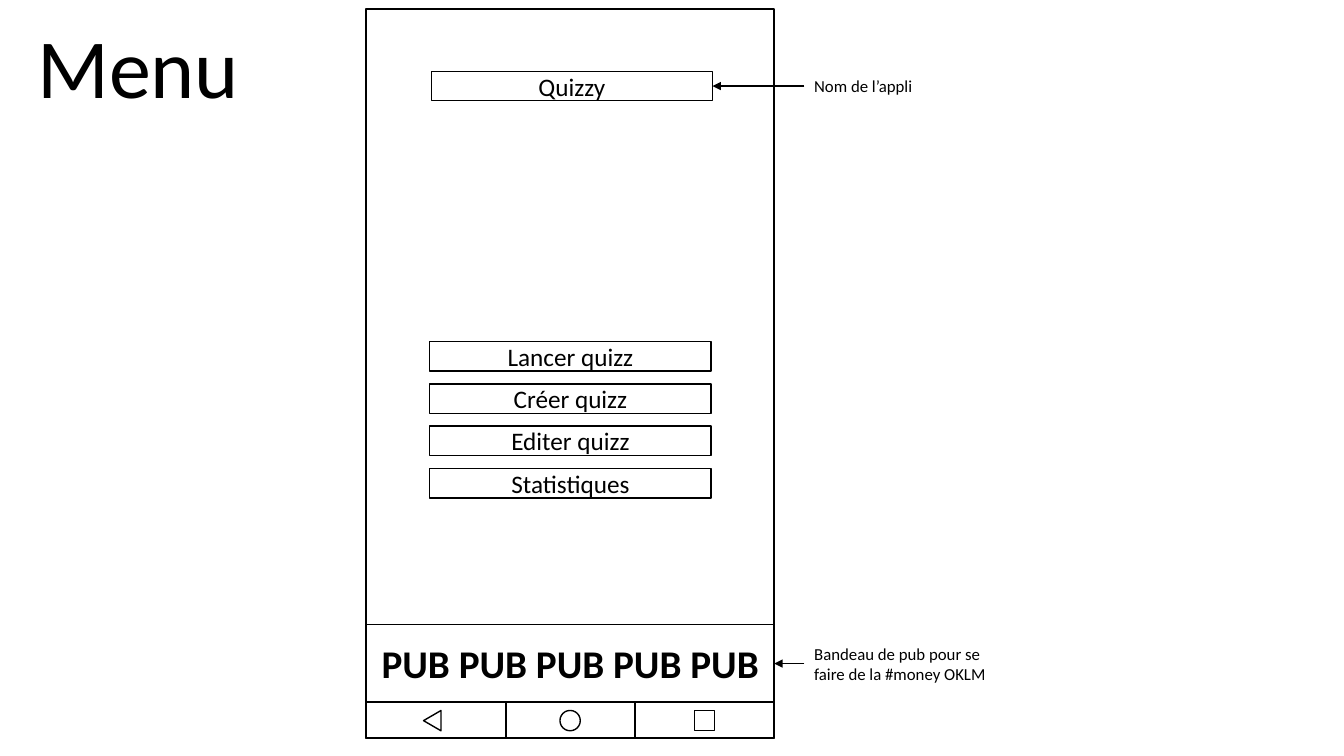
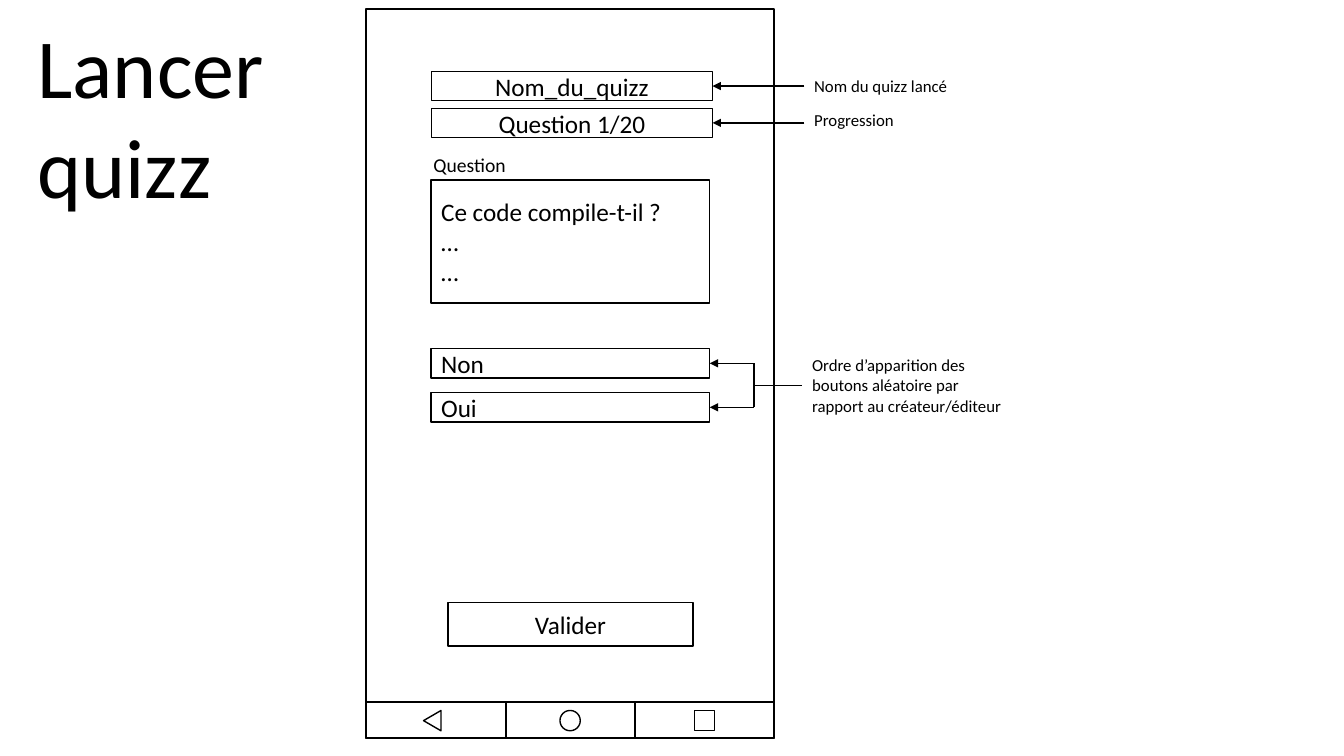
"""Build two wireframe slides of a quiz application."""
from lxml import etree
from pptx import Presentation
from pptx import util as u
from pptx.dml import color
from pptx.enum import shapes, text
from pptx.oxml import ns


def paint(value):
    return color.RGBColor.from_string(value)


class Wireframe:
    FONT = "Calibri"
    INK = "000000"
    PAPER = "FFFFFF"
    PHONE_LEFT, PHONE_TOP, PHONE_WIDTH, PHONE_HEIGHT = 261.5, 6.5, 291.5, 520.5
    PHONE_RIGHT = PHONE_LEFT + PHONE_WIDTH
    NAV_TOP, NAV_HEIGHT = 501.5, 26
    FIELD_LEFT, FIELD_HEIGHT = 308, 21
    NOTE_LEFT = 574.5

    def __init__(self):
        self.deck = Presentation()
        self.deck.slide_width = u.Pt(960)
        self.deck.slide_height = u.Pt(540)
        self.slide = None

    def set_text(self, box, words, size, align=text.PP_ALIGN.LEFT,
                 anchor=text.MSO_ANCHOR.TOP, bold=False):
        frame = box.text_frame
        frame.text = words
        frame.word_wrap = True
        frame.auto_size = text.MSO_AUTO_SIZE.NONE
        frame.vertical_anchor = anchor
        for para in frame.paragraphs:
            para.alignment = align
            for span in para.runs:
                span.font.name = self.FONT
                span.font.size = u.Pt(size)
                span.font.bold = bold
                span.font.color.rgb = paint(self.INK)

    def outline(self, left, top, width, height,
                kind=shapes.MSO_SHAPE.RECTANGLE, fill=None):
        box = self.slide.shapes.add_shape(
            kind, u.Pt(left), u.Pt(top), u.Pt(width), u.Pt(height))
        box.shadow.inherit = False
        if fill:
            box.fill.solid()
            box.fill.fore_color.rgb = paint(fill)
        else:
            box.fill.background()
        box.line.color.rgb = paint(self.INK)
        box.line.width = u.Pt(1)
        return box

    def field(self, words, left, top, width, height=FIELD_HEIGHT,
              align=text.PP_ALIGN.CENTER, size=18, bold=False):
        box = self.outline(left, top, width, height)
        self.set_text(box, words, size, align, text.MSO_ANCHOR.MIDDLE, bold)

    def label(self, words, left, top, width, height, size=12):
        box = self.slide.shapes.add_textbox(
            u.Pt(left), u.Pt(top), u.Pt(width), u.Pt(height))
        self.set_text(box, words, size)

    def line(self, x1, y1, x2, y2, arrow=False):
        link = self.slide.shapes.add_connector(
            shapes.MSO_CONNECTOR.STRAIGHT,
            u.Pt(x1), u.Pt(y1), u.Pt(x2), u.Pt(y2))
        link.line.color.rgb = paint(self.INK)
        link.line.width = u.Pt(1)
        properties = link.element.spPr
        if arrow:
            etree.SubElement(properties.find(ns.qn("a:ln")),
                             ns.qn("a:tailEnd"), type="triangle")
        etree.SubElement(properties, ns.qn("a:effectLst"))

    def title(self, words, height):
        box = self.slide.shapes.title
        box.left, box.top = u.Pt(19.5), u.Pt(6.5)
        box.width, box.height = u.Pt(231), u.Pt(height)
        self.set_text(box, words, 60)

    def navigation(self):
        left = self.PHONE_LEFT
        for width in (100, 92, 99.5):
            self.outline(left, self.NAV_TOP, width, self.NAV_HEIGHT)
            left += width
        back = self.outline(301.5, 508.5, 14.5, 12.5,
                            shapes.MSO_SHAPE.ISOSCELES_TRIANGLE, self.PAPER)
        back.rotation = 270
        self.outline(400, 507.5, 14.5, 14.5, shapes.MSO_SHAPE.OVAL, self.PAPER)
        self.outline(496, 507.5, 14.5, 14.5, fill=self.PAPER)

    def screen(self, heading, heading_height, name, name_note):
        self.slide = self.deck.slides.add_slide(self.deck.slide_layouts[5])
        self.title(heading, heading_height)
        self.outline(self.PHONE_LEFT, self.PHONE_TOP,
                     self.PHONE_WIDTH, self.PHONE_HEIGHT)
        self.navigation()
        self.noted_field(name, 51, name_note, 50.5)

    def noted_field(self, words, top, note, note_top):
        width = 201
        middle = top + self.FIELD_HEIGHT / 2
        self.field(words, self.FIELD_LEFT, top, width)
        self.line(self.NOTE_LEFT, middle, self.FIELD_LEFT + width, middle, True)
        self.label(note, self.NOTE_LEFT, note_top, 221, 21.5)

    def menu(self):
        self.screen("Menu", 80, "Quizzy", "Nom de l’appli")
        entries = ("Lancer quizz", "Créer quizz", "Editer quizz", "Statistiques")
        for index, entry in enumerate(entries):
            self.field(entry, 307, 244 + 30.2 * index, 201)
        self.field("PUB PUB PUB PUB PUB", self.PHONE_LEFT, 446,
                   self.PHONE_WIDTH, 55.5, size=28, bold=True)
        self.line(self.NOTE_LEFT, 474, self.PHONE_RIGHT, 474, True)
        self.label("Bandeau de pub pour se faire de la #money OKLM",
                   self.NOTE_LEFT, 456, 155, 36)

    def quiz(self):
        self.screen("Lancer\nquizz", 153, "Nom_du_quizz", "Nom du quizz lancé")
        self.noted_field("Question 1/20", 77.3, "Progression", 75)
        self.label("Question", 302.5, 106, 90, 24.5, 14)
        width, left = 199, text.PP_ALIGN.LEFT
        self.field("Ce code compile-t-il ?\n…\n…", self.FIELD_LEFT, 128.5,
                   width, 88, left)
        bracket, answers = 538.5, (("Non", 249), ("Oui", 280.5))
        middles = [top + self.FIELD_HEIGHT / 2 for answer, top in answers]
        for (answer, top), middle in zip(answers, middles):
            self.field(answer, self.FIELD_LEFT, top, width, align=left)
            self.line(bracket, middle, self.FIELD_LEFT + width, middle, True)
        centre = sum(middles) / 2
        self.line(bracket, middles[0], bracket, middles[1])
        self.line(bracket, centre, 573, centre)
        self.label("Ordre d’apparition des boutons aléatoire par "
                   "rapport au créateur/éditeur ", 573, 250, 150.5, 51)
        self.field("Valider", 320, 430.5, 175, 31)


wireframe = Wireframe()
wireframe.menu()
wireframe.quiz()
wireframe.deck.save("out.pptx")
